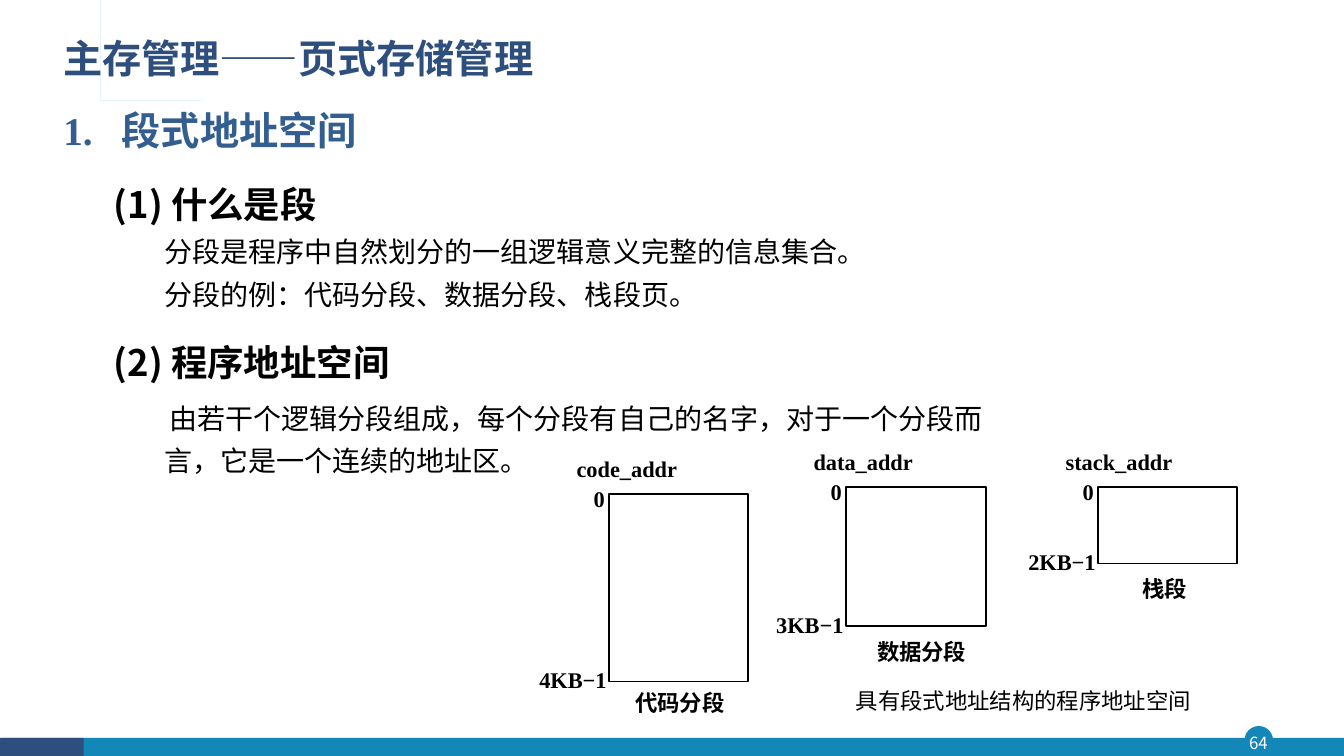
"""Builds a slide on segmented address spaces in main memory management."""
from pptx import Presentation, util as u
from pptx.dml.color import RGBColor
from pptx.enum import shapes, text
from pptx.oxml.ns import qn
from lxml import etree

SANS, SERIF = "Noto Sans CJK SC", "Times New Roman"
NAVY, BLUE, CYAN, BLACK, WHITE = "2E4E7E", "1387B7", "28A9D6", "000000", "FFFFFF"

HEAD = dict(size=28, name=SANS, bold=True, color=NAVY)
TOPIC = dict(size=28, name=SERIF, bold=True, color="335F90")
ITEM = dict(size=26, name=SANS, bold=True, color=BLACK)
BODY = dict(size=20, name=SERIF, bold=False, color=BLACK)
LABEL = dict(size=16, name=SERIF, bold=True, color=BLACK)
NOTE = dict(LABEL, bold=False)
PAGE = dict(size=12, name=SANS, bold=False, color=WHITE)

# text, font, left margin, first indent, line spacing, space before
LINES = [
    ("1.\t段式地址空间", TOPIC, 0.58, -0.58, 1.2, 0),
    ("(1) 什么是段", ITEM, 0.5, 0, 1.5, 5.2),
    ("分段是程序中自然划分的一组逻辑意义完整的信息集合。", BODY, 1, 0, 1.1, 4),
    ("分段的例：代码分段、数据分段、栈段页。", BODY, 1, 0, 1.1, 4),
    ("(2) 程序地址空间", ITEM, 0.5, 0, 1.5, 5.2),
    ("由若干个逻辑分段组成，每个分段有自己的名字，对于一个分段而", BODY, 1.05, 0, 1.1, 10),
    ("言，它是一个连续的地址区。", BODY, 1, 0, 1.1, 4),
]
# name, end address, caption, box, caption place and width
PARTS = [
    ("code_addr", "4KB−1", "代码分段", (6.04, 4.9, 1.38, 1.86), (6.2, 6.79, 1.11)),
    ("data_addr", "3KB−1", "数据分段", (8.39, 4.83, 1.39, 1.38), (8.6, 6.28, 1.11)),
    ("stack_addr", "2KB−1", "栈段", (10.89, 4.83, 1.38, 0.76), (11.23, 5.66, 0.76)),
]
BARS = [
    (shapes.MSO_SHAPE.OVAL, BLUE, (12.35, 7.21, 0.27, 0.27)),
    (shapes.MSO_SHAPE.RECTANGLE, BLUE, (0.01, 7.32, 13.32, 0.19)),
    (shapes.MSO_SHAPE.RECTANGLE, NAVY, (0, 7.32, 0.83, 0.19)),
]
MARK = [(0.54, 0.39), (0.54, 0.85), (1.87, 0.85), (1.87, 0.87), (0.52, 0.87),
        (0.52, 0.41), (0.47, 0.41), (0.47, 0.87), (0.36, 0.87), (0.36, 0.39),
        (0.39, 0.39), (0.39, 0.84), (0.44, 0.84), (0.44, 0.39)]

deck = Presentation()
deck.slide_width, deck.slide_height = u.Inches(13.33), u.Inches(7.5)
slide = deck.slides.add_slide(deck.slide_layouts[6])


def hue(code):
    return RGBColor.from_string(code)


def paint(shape, fill=None, line=None):
    shape.shadow.inherit = False
    if fill:
        shape.fill.solid()
        shape.fill.fore_color.rgb = hue(fill)
    else:
        shape.fill.background()
    if line:
        shape.line.color.rgb = hue(line)
        shape.line.width = u.Pt(1)
    else:
        shape.line.fill.background()


def write(para, words, font):
    run = para.add_run()
    run.text = words
    values = dict(font, size=u.Pt(font["size"]))
    run.font.color.rgb = hue(values.pop("color"))
    for key, value in values.items():
        setattr(run.font, key, value)
    etree.SubElement(run.font._element, qn("a:ea")).set("typeface", SANS)


def place(box, lines, pad=(0.1, 0.05), anchor=text.MSO_ANCHOR.TOP, align=None):
    frame = slide.shapes.add_textbox(*map(u.Inches, box)).text_frame
    form = dict(word_wrap=True, vertical_anchor=anchor,
                margin_left=u.Inches(pad[0]), margin_right=u.Inches(pad[0]),
                margin_top=u.Inches(pad[1]), margin_bottom=u.Inches(pad[1]))
    for key, value in form.items():
        setattr(frame, key, value)
    for i, (words, font, left, first, lead, before) in enumerate(lines):
        para = frame.add_paragraph() if i else frame.paragraphs[0]
        props = para._p.get_or_add_pPr()
        props.set("marL", str(u.Inches(left)))
        props.set("indent", str(u.Inches(first)))
        form = dict(alignment=align, line_spacing=lead, space_before=u.Pt(before))
        for key, value in form.items():
            setattr(para, key, value)
        write(para, words, font)


def label(box, words, font=LABEL, lead=1.0, **form):
    place(box, [(words, font, 0, 0, lead, 0)], **form)


for kind, fill, box in BARS:
    paint(slide.shapes.add_shape(kind, *map(u.Inches, box)), fill,
          BLUE if kind == shapes.MSO_SHAPE.OVAL else None)
label((12.32, 7.21, 0.32, 0.31), "64", PAGE, pad=(0, 0),
      anchor=text.MSO_ANCHOR.MIDDLE, align=text.PP_ALIGN.CENTER)

path = slide.shapes.build_freeform(*MARK[0], scale=u.Inches(1))
path.add_line_segments(MARK[1:], close=True)
paint(path.convert_to_shape(), CYAN)

label((0.53, 0.34, 10.49, 0.56), "主存管理——页式存储管理", HEAD, lead=0.9)
place((0.53, 0.91, 9.55, 4.02), LINES)

for name, end, title, (x, y, w, h), (left, top, wide) in PARTS:
    paint(slide.shapes.add_shape(shapes.MSO_SHAPE.RECTANGLE,
                                 *map(u.Inches, (x, y, w, h))), line=BLACK)
    label((x - 0.42, y - 0.43, 1.42, 0.37), name)
    label((x - 0.25, y - 0.14, 0.28, 0.37), "0")
    label((x - 0.79, y + h - 0.2, 1.01, 0.37), end)
    label((left, top, wide, 0.37), title)
label((8.39, 6.77, 3.71, 0.37), "具有段式地址结构的程序地址空间", NOTE)

deck.save("out.pptx")
